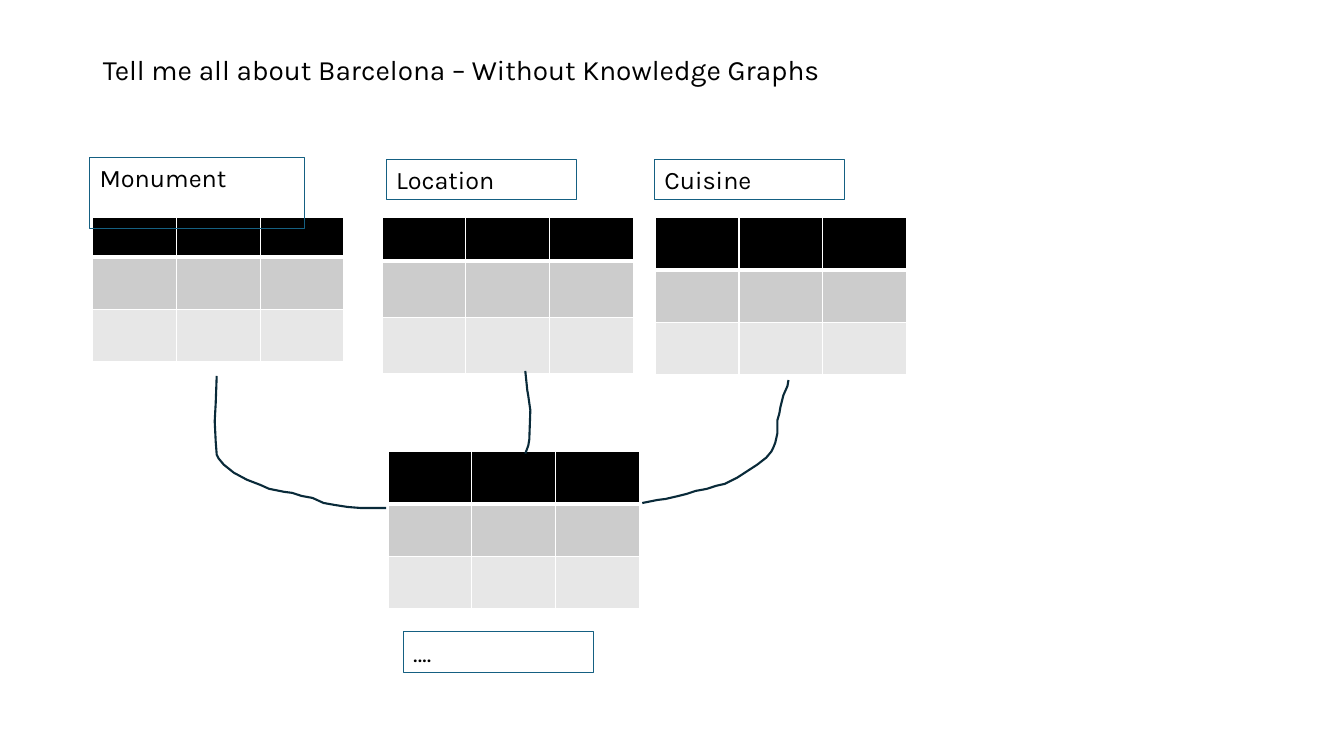
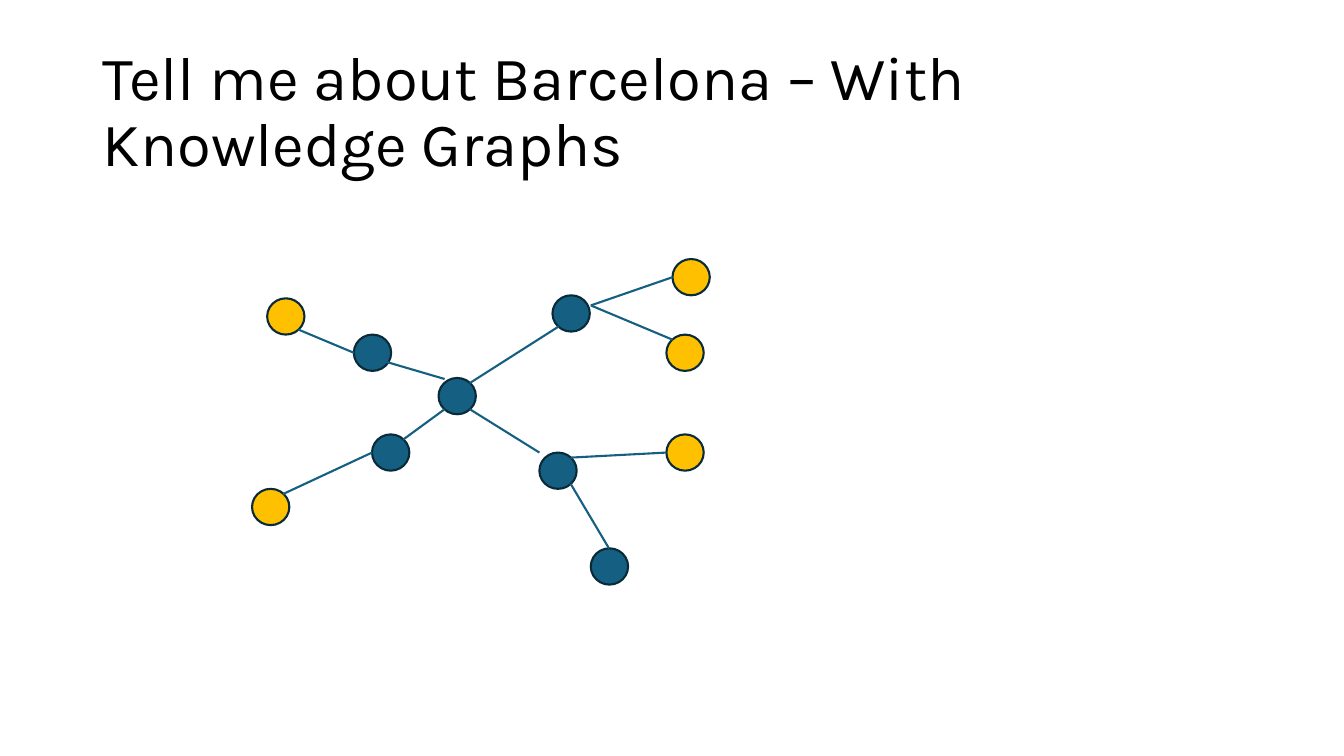
import dataclasses
import typing

import lxml.etree
import pptx
import pptx.dml.color
import pptx.enum.shapes
import pptx.enum.text
import pptx.oxml
import pptx.oxml.ns
import pptx.util

SCALE = 9144
Point = tuple[int, int]


@dataclasses.dataclass(frozen=True)
class Theme:
    font: str = "Karla"
    text: str = "000000"
    edge: str = "156082"
    dark: str = "092A39"
    gold: str = "FFC000"
    rule: str = "FFFFFF"
    rows: tuple[str, ...] = ("000000", "CCCCCC", "E7E7E7")
    small: int = 20
    large: int = 44
    label: int = 18
    thin: float = 0.75
    thick: float = 1.5


THEME = Theme()


class Box(typing.NamedTuple):
    left: int
    top: int
    width: int
    height: int


class Grid(typing.NamedTuple):
    left: int
    top: int
    rows: tuple[int, ...]


class Label(typing.NamedTuple):
    text: str
    box: Box


class Node(typing.NamedTuple):
    left: int
    top: int
    fill: str = THEME.edge


class Port(typing.NamedTuple):
    node: str
    side: str


class Edge(typing.NamedTuple):
    start: Port | Point
    end: Port | Point


COLUMN = 83
NODE_WIDTH, NODE_HEIGHT = 37, 36

GRIDS = (
    Grid(92, 216, (39, 52, 52)),
    Grid(385, 448, (52, 52, 52)),
    Grid(379, 216, (43, 56, 56)),
    Grid(650, 216, (52, 52, 52)),
)

CURVES: tuple[tuple[Point, ...], ...] = (
    ((215, 373), (214, 400), (213, 418), (214, 438), (215, 451), (217, 455),
     (222, 461), (232, 469), (245, 476), (258, 481), (267, 485), (282, 488),
     (290, 489), (299, 492), (310, 494), (321, 499), (332, 501), (345, 503),
     (358, 504), (383, 504)),
    ((521, 368), (523, 387), (524, 393), (526, 407), (525, 436), (524, 442),
     (521, 450)),
    ((782, 377), (781, 383), (777, 392), (774, 404), (773, 410), (771, 417),
     (771, 430), (769, 439), (767, 444), (765, 448), (760, 454), (751, 461),
     (731, 474), (719, 480), (710, 482), (701, 485), (690, 487), (681, 490),
     (673, 492), (660, 495), (652, 496), (637, 499)),
)

LABELS = (
    Label("Monument", Box(89, 156, 213, 71)),
    Label("….", Box(400, 627, 189, 40)),
    Label("Location", Box(383, 158, 189, 40)),
    Label("Cuisine", Box(649, 158, 189, 40)),
)

NODES = {
    "hub": Node(435, 375),
    "north-west": Node(351, 332),
    "south-west": Node(369, 431),
    "south-east": Node(535, 449),
    "north-east": Node(548, 293),
    "leaf low left": Node(250, 485, THEME.gold),
    "leaf high left": Node(265, 296, THEME.gold),
    "leaf base": Node(586, 544),
    "leaf low right": Node(661, 431, THEME.gold),
    "leaf mid right": Node(661, 332, THEME.gold),
    "leaf high right": Node(667, 257, THEME.gold),
}

SIDES = {
    "top": (0.5, 0), "left": (0, 0.5),
    "top left": (0.15, 0.15), "top right": (0.85, 0.15),
    "low left": (0.15, 0.85), "low right": (0.85, 0.85),
}

FORK = (586, 303)
EDGES = (
    Edge(Port("leaf high left", "low right"), Port("north-west", "left")),
    Edge((383, 359), (441, 376)),
    Edge(Port("hub", "low left"), Port("south-west", "top right")),
    Edge(Port("south-west", "left"), Port("leaf low left", "top right")),
    Edge(Port("hub", "top right"), Port("north-east", "low left")),
    Edge(Port("hub", "low right"), (535, 449)),
    Edge(FORK, Port("leaf high right", "left")),
    Edge(FORK, Port("leaf mid right", "top left")),
    Edge(Port("south-east", "top right"), Port("leaf low right", "left")),
    Edge(Port("south-east", "low right"), Port("leaf base", "top")),
)


def px(*values: int) -> list[pptx.util.Emu]:
    return [pptx.util.Emu(value * SCALE) for value in values]


def color(code: str) -> pptx.dml.color.RGBColor:
    return pptx.dml.color.RGBColor.from_string(code)


def paint(shape, fill: str | None, line: str, width: float) -> None:
    shape.shadow.inherit = False
    if fill:
        shape.fill.solid()
        shape.fill.fore_color.rgb = color(fill)
    else:
        shape.fill.background()
    shape.line.color.rgb = color(line)
    shape.line.width = pptx.util.Pt(width)


def write(frame, text: str, size: int) -> None:
    frame.text = text
    frame.word_wrap = True
    frame.auto_size = pptx.enum.text.MSO_AUTO_SIZE.NONE
    first = frame.paragraphs[0]
    first.alignment = pptx.enum.text.PP_ALIGN.LEFT
    for run in first.runs:
        run.font.name = THEME.font
        run.font.size = pptx.util.Pt(size)
        run.font.color.rgb = color(THEME.text)


def add_slide(deck, text: str, box: Box, size: int):
    slide = deck.slides.add_slide(deck.slide_layouts[5])
    title = slide.shapes.title
    title.left, title.top, title.width, title.height = px(*box)
    write(title.text_frame, text, size)
    title.text_frame.vertical_anchor = pptx.enum.text.MSO_ANCHOR.MIDDLE
    title.text_frame.paragraphs[0].line_spacing = 0.9
    return slide


def set_rules(cell, top: int, base: int) -> None:
    props = cell._tc.get_or_add_tcPr()
    for tag, width in (("lnL", 1), ("lnR", 1), ("lnT", top), ("lnB", base)):
        line = lxml.etree.SubElement(
            props, pptx.oxml.ns.qn(f"a:{tag}"), w=str(pptx.util.Pt(width)))
        fill = lxml.etree.SubElement(line, pptx.oxml.ns.qn("a:solidFill"))
        lxml.etree.SubElement(fill, pptx.oxml.ns.qn("a:srgbClr"), val=THEME.rule)


def add_grid(slide, grid: Grid) -> None:
    count = len(grid.rows)
    box = Box(grid.left, grid.top, 3 * COLUMN, sum(grid.rows))
    table = slide.shapes.add_table(count, 3, *px(*box)).table
    table.horz_banding = False
    for column in table.columns:
        column.width = px(COLUMN)[0]
    for index, height in enumerate(grid.rows):
        row = table.rows[index]
        row.height = px(height)[0]
        for cell in row.cells:
            cell.margin_top = cell.margin_bottom = 0
            set_rules(cell, 3 if index == 1 else 1, 3 if index == 0 else 1)
            cell.fill.solid()
            cell.fill.fore_color.rgb = color(THEME.rows[index])


def add_curve(slide, points: tuple[Point, ...]) -> None:
    form = slide.shapes.build_freeform(*points[0], scale=SCALE)
    form.add_line_segments(points[1:], close=False)
    paint(form.convert_to_shape(), None, THEME.dark, THEME.thick)


def add_label(slide, label: Label) -> None:
    shape = slide.shapes.add_shape(
        pptx.enum.shapes.MSO_SHAPE.RECTANGLE, *px(*label.box))
    paint(shape, None, THEME.edge, THEME.thin)
    write(shape.text_frame, label.text, THEME.label)
    shape.text_frame.vertical_anchor = pptx.enum.text.MSO_ANCHOR.TOP


def add_node(slide, node: Node) -> None:
    shape = slide.shapes.add_shape(
        pptx.enum.shapes.MSO_SHAPE.OVAL,
        *px(node.left, node.top, NODE_WIDTH, NODE_HEIGHT))
    paint(shape, node.fill, THEME.dark, THEME.thick)


def locate(end: Port | Point) -> Point:
    if not isinstance(end, Port):
        return end
    node = NODES[end.node]
    across, down = SIDES[end.side]
    return (round(node.left + across * NODE_WIDTH),
            round(node.top + down * NODE_HEIGHT))


def add_edge(slide, edge: Edge) -> None:
    line = slide.shapes.add_connector(
        pptx.enum.shapes.MSO_CONNECTOR.STRAIGHT,
        *px(*locate(edge.start), *locate(edge.end)))
    line.line.color.rgb = color(THEME.edge)
    line.line.width = pptx.util.Pt(THEME.thick)
    lxml.etree.SubElement(
        line._element.spPr, pptx.oxml.ns.qn("a:effectLst"))


def main() -> None:
    deck = pptx.Presentation()
    deck.slide_width, deck.slide_height = px(1333, 750)

    slide = add_slide(
        deck, "Tell me all about Barcelona – Without Knowledge Graphs",
        Box(92, 40, 1115, 61), THEME.small)
    for grid in GRIDS:
        add_grid(slide, grid)
    for curve in CURVES:
        add_curve(slide, curve)
    for label in LABELS:
        add_label(slide, label)

    slide = add_slide(
        deck, "Tell me about Barcelona – With Knowledge Graphs",
        Box(92, 40, 1150, 145), THEME.large)
    for node in NODES.values():
        add_node(slide, node)
    for edge in EDGES:
        add_edge(slide, edge)

    deck.save("out.pptx")


if __name__ == "__main__":
    main()
